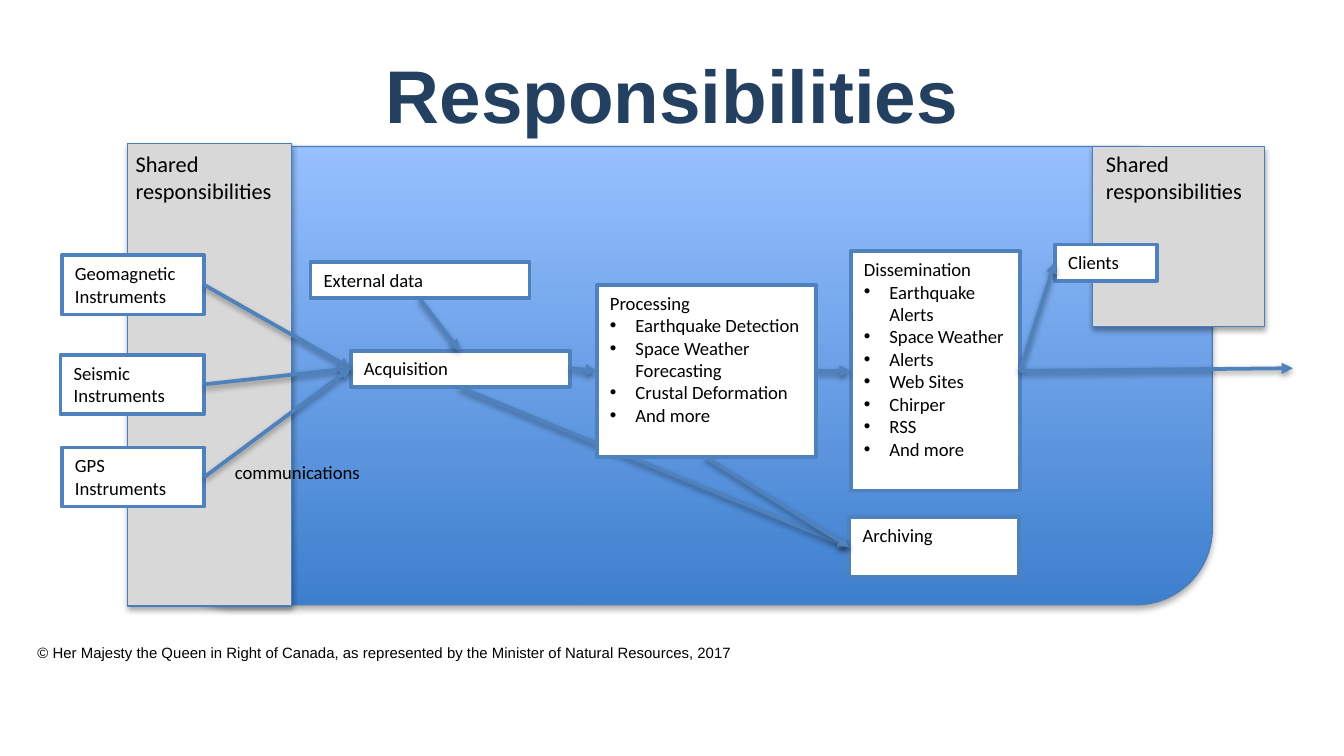
from dataclasses import dataclass

from lxml.etree import SubElement
from pptx import Presentation
from pptx.dml.color import RGBColor
from pptx.enum.shapes import MSO_CONNECTOR, MSO_SHAPE
from pptx.enum.text import MSO_ANCHOR, PP_ALIGN
from pptx.oxml.ns import qn
from pptx.util import Emu, Pt

PX = 9144  # EMU per px, 100 px to the inch
SLIDE_WIDTH = 1000
COLORS = {
    "title": "244061", "text": "000000", "box": "FFFFFF", "shared": "D8D8D8",
    "panel_line": "4A7DBA", "box_line": "4F81BD",
    "stage_bottom": "3E7FCD", "stage_top": "96C0FF",
}
INDENT = 19


@dataclass(frozen=True)
class Area:
    left: int
    top: int
    width: int
    height: int

    def emu(self) -> list[Emu]:
        return [Emu(v * PX) for v in (self.left, self.top, self.width, self.height)]

    def anchor(self, side: str) -> tuple[int, int]:
        middle_x, middle_y = self.left + self.width // 2, self.top + self.height // 2
        return {
            "left": (self.left, middle_y),
            "right": (self.left + self.width, middle_y),
            "top": (middle_x, self.top),
            "bottom": (middle_x, self.top + self.height),
        }[side]


@dataclass(frozen=True)
class Box:
    area: Area
    heading: str
    bullets: tuple[str, ...] = ()


@dataclass(frozen=True)
class Label:
    area: Area
    text: str
    size: int = 10
    font: str = "Calibri"
    color: str = "text"
    bold: bool = False
    align: PP_ALIGN = PP_ALIGN.LEFT
    anchor: MSO_ANCHOR = MSO_ANCHOR.TOP


@dataclass(frozen=True)
class Link:
    start: str
    start_side: str
    end: str
    end_side: str


BOXES = {
    "geomagnetic": Box(Area(46, 190, 106, 44), "Geomagnetic Instruments"),
    "seismic": Box(Area(45, 264, 107, 44), "Seismic Instruments"),
    "gps": Box(Area(46, 333, 106, 44), "GPS Instruments"),
    "acquisition": Box(Area(261, 261, 163, 27), "Acquisition"),
    "external": Box(Area(231, 195, 163, 27), "External data"),
    "dissemination": Box(Area(633, 187, 126, 178), "Dissemination", (
        "Earthquake Alerts", "Space Weather", "Alerts", "Web Sites",
        "Chirper", "RSS", "And more")),
    "clients": Box(Area(785, 182, 76, 27), "Clients"),
    "archiving": Box(Area(632, 385, 126, 44), "Archiving"),
    "processing": Box(Area(444, 212, 163, 128), "Processing", (
        "Earthquake Detection", "Space Weather Forecasting",
        "Crustal Deformation", "And more")),
}
LINKS = [
    *(Link(name, "right", "acquisition", "left")
      for name in ("geomagnetic", "seismic", "gps")),
    Link("external", "bottom", "acquisition", "top"),
    Link("acquisition", "right", "processing", "left"),
    Link("processing", "right", "dissemination", "left"),
    Link("dissemination", "right", "clients", "left"),
    Link("acquisition", "bottom", "archiving", "left"),
    Link("processing", "bottom", "archiving", "left"),
]
STAGE = Area(117, 109, 785, 341)
SHARED_PANELS = [Area(813, 109, 128, 134), Area(95, 107, 122, 344)]
LABELS = [
    Label(Area(18, 474, 544, 54),
          "© Her Majesty the Queen in Right of Canada, as represented by "
          "the Minister of Natural Resources, 2017", 8, "Arial"),
    Label(Area(50, 23, 900, 94), "Responsibilities", 40, "Arial", "title", True,
          PP_ALIGN.CENTER, MSO_ANCHOR.MIDDLE),
    *(Label(Area(left, 107, 132, 50), "Shared responsibilities", 12)
      for left in (91, 813)),
    Label(Area(165, 338, 191, 27), "communications"),
]


def color(name: str) -> RGBColor:
    return RGBColor.from_string(COLORS[name])


def add_shadow(shape, distance: int, opacity: int) -> None:
    effects = SubElement(shape._element.spPr, qn("a:effectLst"))
    shadow = SubElement(effects, qn("a:outerShdw"), blurRad="40000",
                        dist=str(distance), dir="5400000", rotWithShape="0")
    black = SubElement(shadow, qn("a:srgbClr"), val="000000")
    SubElement(black, qn("a:alpha"), val=str(opacity * 1000))


def add_text(paragraph, text: str, size: int = 10, font: str = "Calibri",
             color_name: str = "text", bold: bool = False) -> None:
    run = paragraph.add_run()
    run.text = text
    run.font.size = Pt(size)
    run.font.name = font
    run.font.bold = bold
    run.font.color.rgb = color(color_name)


def add_bullet(paragraph) -> None:
    properties = paragraph._p.get_or_add_pPr()
    properties.set("marL", str(INDENT * PX))
    properties.set("indent", str(-INDENT * PX))
    SubElement(properties, qn("a:buFont"), typeface="Arial")
    SubElement(properties, qn("a:buChar"), char="•")


def add_panel(slide, area: Area, preset: MSO_SHAPE):
    shape = slide.shapes.add_shape(preset, *area.emu())
    shape.line.color.rgb = color("panel_line")
    shape.line.width = Pt(0.75)
    return shape


def add_stage(slide, area: Area) -> None:
    shape = add_panel(slide, area, MSO_SHAPE.ROUNDED_RECTANGLE)
    shape.fill.gradient()
    shape.fill.gradient_angle = 90
    for stop, name in zip(shape.fill.gradient_stops, ("stage_bottom", "stage_top")):
        stop.color.rgb = color(name)
    add_shadow(shape, 23000, 35)


def add_shared_panel(slide, area: Area) -> None:
    shape = add_panel(slide, area, MSO_SHAPE.RECTANGLE)
    shape.fill.solid()
    shape.fill.fore_color.rgb = color("shared")
    add_shadow(shape, 23000, 35)


def add_label(slide, label: Label) -> None:
    frame = slide.shapes.add_textbox(*label.area.emu()).text_frame
    frame.word_wrap = True
    frame.vertical_anchor = label.anchor
    frame.paragraphs[0].alignment = label.align
    add_text(frame.paragraphs[0], label.text, label.size, label.font,
             label.color, label.bold)


def add_box(slide, box: Box) -> None:
    shape = slide.shapes.add_shape(MSO_SHAPE.RECTANGLE, *box.area.emu())
    shape.shadow.inherit = False
    shape.fill.solid()
    shape.fill.fore_color.rgb = color("box")
    shape.line.color.rgb = color("box_line")
    shape.line.width = Pt(2)
    frame = shape.text_frame
    frame.word_wrap = True
    frame.vertical_anchor = MSO_ANCHOR.TOP
    frame.paragraphs[0].alignment = PP_ALIGN.LEFT
    add_text(frame.paragraphs[0], box.heading)
    for bullet in box.bullets:
        paragraph = frame.add_paragraph()
        paragraph.alignment = PP_ALIGN.LEFT
        add_bullet(paragraph)
        add_text(paragraph, bullet)


def add_arrow(slide, start: tuple[int, int], end: tuple[int, int]) -> None:
    connector = slide.shapes.add_connector(
        MSO_CONNECTOR.STRAIGHT, *(Emu(v * PX) for v in start + end))
    connector.line.color.rgb = color("box_line")
    connector.line.width = Pt(2)
    SubElement(connector.line._get_or_add_ln(), qn("a:tailEnd"), type="triangle")
    add_shadow(connector, 20000, 38)


def main() -> None:
    presentation = Presentation()
    presentation.slide_width = Emu(SLIDE_WIDTH * PX)
    presentation.slide_height = Emu(SLIDE_WIDTH * PX * 9 // 16)
    slide = presentation.slides.add_slide(presentation.slide_layouts[6])

    # Background areas
    add_stage(slide, STAGE)
    for area in SHARED_PANELS:
        add_shared_panel(slide, area)

    # Process boxes, with processing kept for the top layer
    for name, box in BOXES.items():
        if name != "processing":
            add_box(slide, box)

    # Data flow, with one arrow leaving the stage
    for link in LINKS:
        add_arrow(slide, BOXES[link.start].area.anchor(link.start_side),
                  BOXES[link.end].area.anchor(link.end_side))
    add_arrow(slide, BOXES["dissemination"].area.anchor("right"), (962, 274))
    add_box(slide, BOXES["processing"])

    # Title, captions and copyright line
    for label in LABELS:
        add_label(slide, label)
    presentation.save("out.pptx")


if __name__ == "__main__":
    main()
